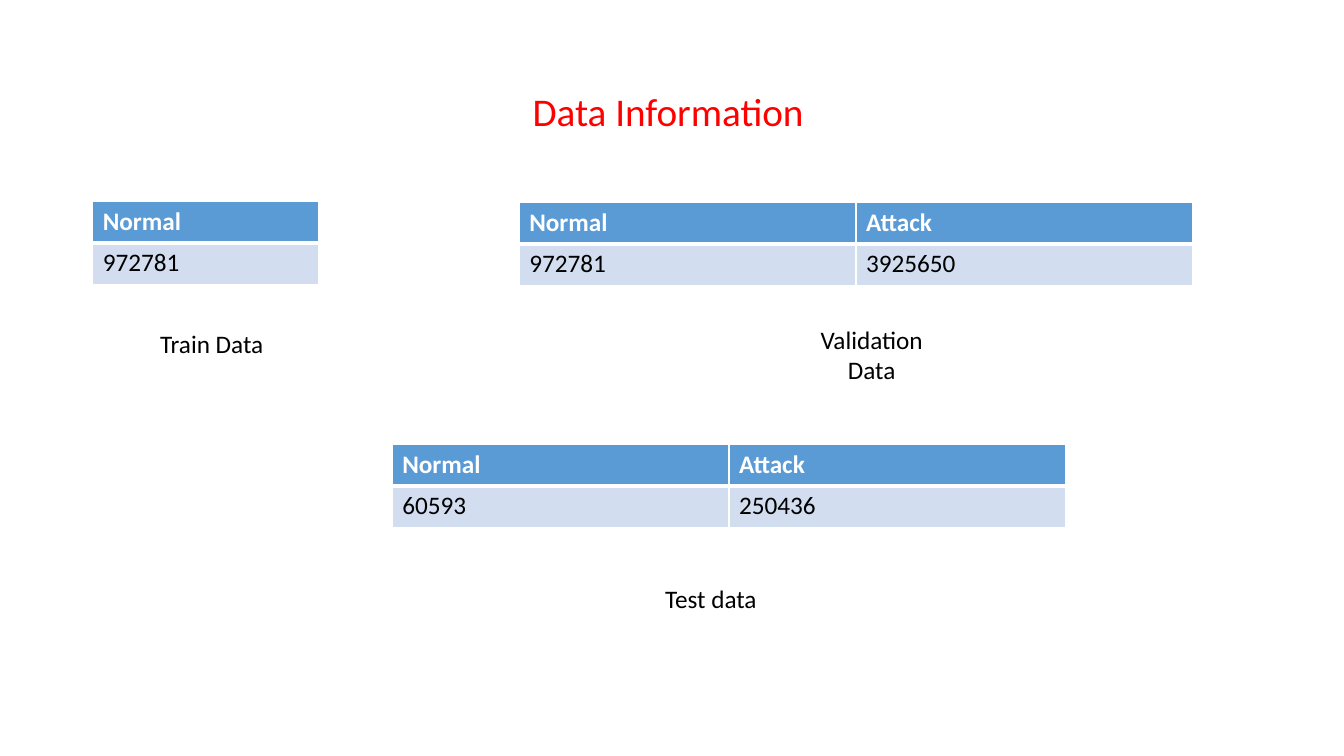
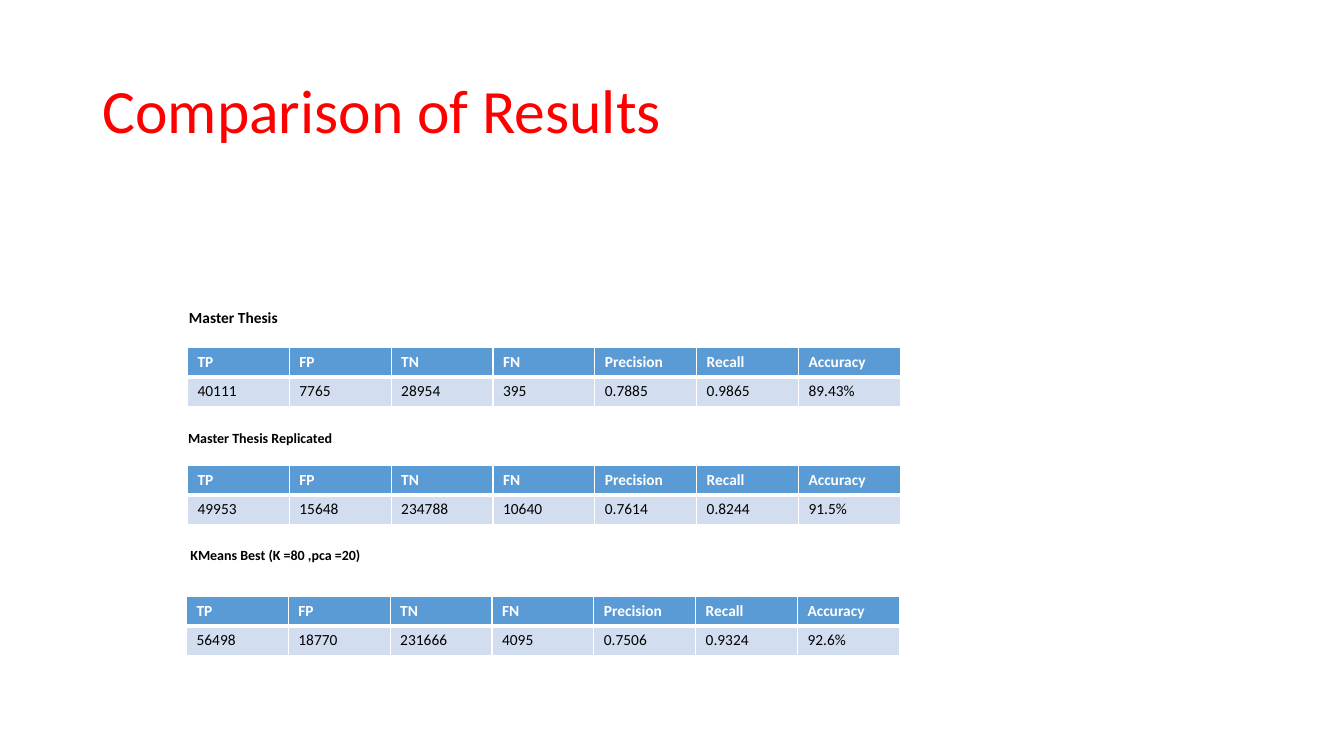
from pptx import Presentation
from pptx.dml.color import RGBColor
from pptx.enum.shapes import MSO_SHAPE as SHAPE
from pptx.enum.text import MSO_ANCHOR as ANCHOR, PP_ALIGN as ALIGN
from pptx.oxml import parse_xml
from pptx.oxml.ns import nsdecls
from pptx.util import Emu, Pt

SCALE = 9144  # EMU per px, 100 px to the inch
FONT = "Calibri"
COLORS = {
    "title": "FF0000",
    "header": "5B9BD5",
    "body": "D2DEEF",
    "white": "FFFFFF",
    "black": "000000",
}


def px(n):
    return Emu(n * SCALE)


def rgb(name):
    return RGBColor.from_string(COLORS[name])


class Deck:
    """Holds the shared style and the current slide."""

    def __init__(self):
        self.prs = Presentation()
        self.prs.slide_width, self.prs.slide_height = px(1333), px(750)
        self.s = None

    def slide(self, title, size, align=ALIGN.LEFT):
        self.s = self.prs.slides.add_slide(self.prs.slide_layouts[6])
        sp = self.s.shapes.add_textbox(px(92), px(40), px(1150), px(145))
        self.set_text(sp.text_frame, title, size, "title", align=align)
        sp.text_frame.paragraphs[0].line_spacing = 0.9

    def set_text(self, tf, text, size, color, bold=False, align=ALIGN.LEFT):
        tf.word_wrap = True
        tf.vertical_anchor = ANCHOR.MIDDLE
        p = tf.paragraphs[0]
        p.text = text
        p.alignment = align
        font = p.runs[0].font
        font.name, font.size, font.bold = FONT, Pt(size), bold
        font.color.rgb = rgb(color)

    def label(self, text, x, y, w, h, size, bold=False):
        sp = self.s.shapes.add_shape(SHAPE.RECTANGLE, px(x), px(y), px(w), px(h))
        sp.shadow.inherit = False
        sp.fill.solid()
        sp.fill.fore_color.rgb = rgb("white")
        sp.line.fill.background()
        self.set_text(sp.text_frame, text, size, "black", bold, ALIGN.CENTER)

    def borders(self, cell, top, bottom):
        tc_pr = cell._tc.get_or_add_tcPr()
        for side, width in (("L", 1), ("R", 1), ("T", top), ("B", bottom)):
            tc_pr.append(parse_xml(
                f'<a:ln{side} {nsdecls("a")} w="{Pt(width)}"><a:solidFill>'
                f'<a:srgbClr val="{COLORS["white"]}"/></a:solidFill></a:ln{side}>'))

    def table(self, x, y, col_w, row_h, size, header, values):
        rows = (header, values)
        table = self.s.shapes.add_table(
            len(rows), len(header), px(x), px(y),
            px(col_w * len(header)), px(row_h * len(rows))).table
        table.horz_banding = False
        for column in table.columns:
            column.width = px(col_w)
        for i, row in enumerate(rows):
            is_header = i == 0
            for j, text in enumerate(row):
                cell = table.cell(i, j)
                # A thick rule separates the header from the values
                self.borders(cell, *((1, 3) if is_header else (3, 1)))
                cell.fill.solid()
                cell.fill.fore_color.rgb = rgb("header" if is_header else "body")
                self.set_text(cell.text_frame, text, size,
                              "white" if is_header else "black", is_header)
                cell.vertical_anchor = ANCHOR.TOP


def data_information(deck):
    deck.slide("Data Information ", 28, ALIGN.CENTER)
    classes = ("Normal", "Attack")
    # Tables
    for x, y, col_w, values in (
        (92, 200, 224, ("972781",)),
        (515, 201, 334, ("972781", "3925650")),
        (389, 441, 334, ("60593", "250436")),
    ):
        deck.table(x, y, col_w, 41, 18, classes[:len(values)], values)
    # Captions
    for text, x, y, w, h in (
        ("Train Data", 145, 318, 130, 46),
        ("Validation Data", 779, 322, 171, 60),
        ("Test data", 645, 571, 120, 46),
    ):
        deck.label(text, x, y, w, h, 18)


def comparison_of_results(deck):
    deck.slide("Comparison of Results", 44)
    metrics = ("TP", "FP", "TN", "FN", "Precision", "Recall", "Accuracy")
    # Each result: caption with its box and size, then table place and values
    for caption, box, size, x, y, values in (
        ("Master Thesis", (164, 300, 135, 29), 11, 186, 345,
         ("40111", "7765", "28954", "395", "0.7885", "0.9865", "89.43%")),
        ("Master Thesis Replicated", (146, 421, 224, 27), 10, 186, 462,
         ("49953", "15648", "234788", "10640", "0.7614", "0.8244", "91.5%")),
        ("KMeans Best (K =80 ,pca =20)", (164, 537, 218, 27), 10, 185, 592,
         ("56498", "18770", "231666", "4095", "0.7506", "0.9324", "92.6%")),
    ):
        deck.label(caption, *box, size, bold=True)
        deck.table(x, y, 101, 29, 11, metrics, values)


def main():
    deck = Deck()
    data_information(deck)
    comparison_of_results(deck)
    deck.prs.save("out.pptx")


if __name__ == "__main__":
    main()
